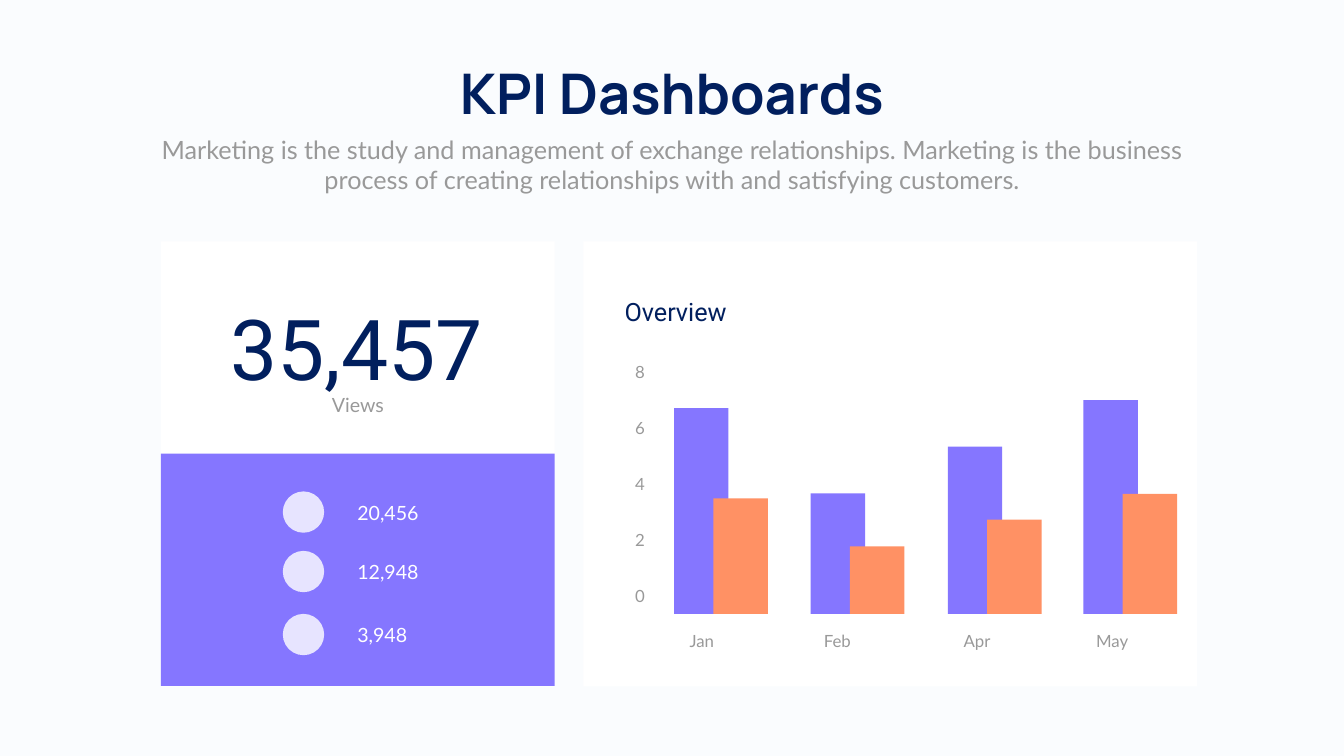
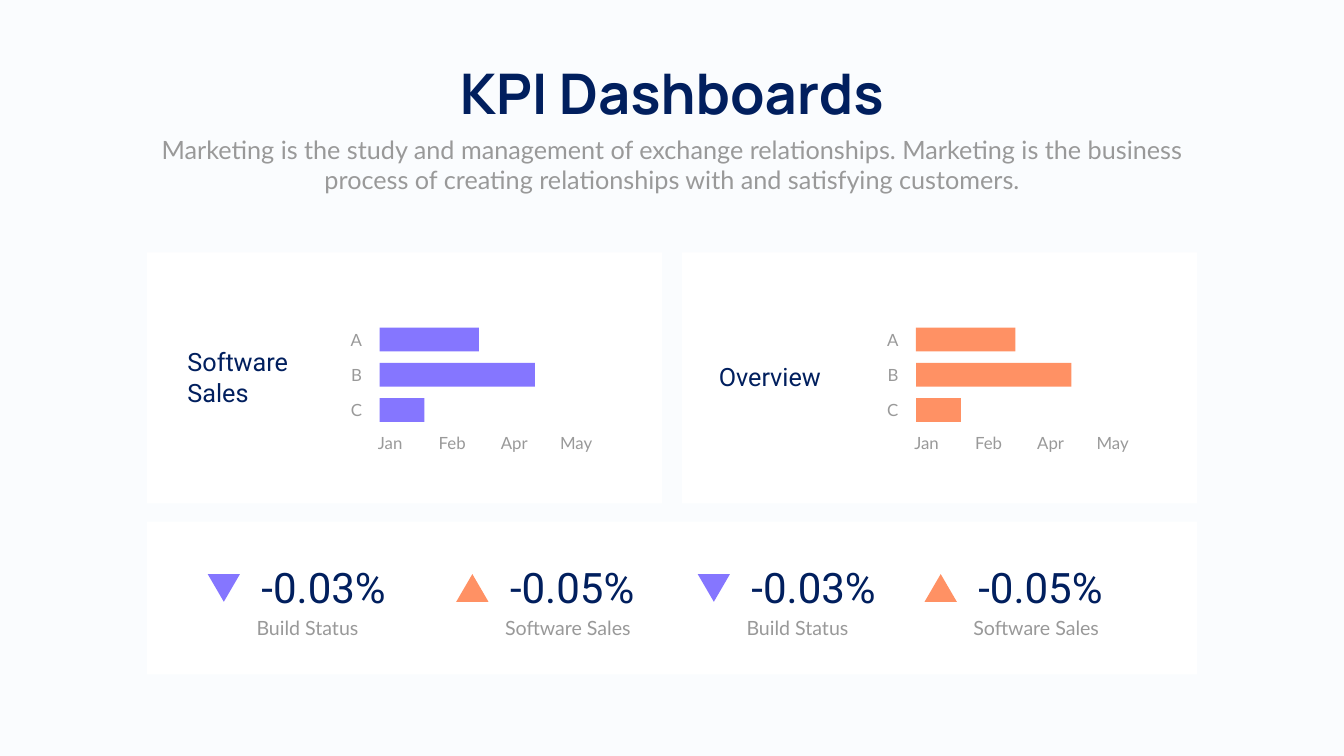
from pptx import Presentation
from pptx.dml.color import RGBColor
from pptx.enum.shapes import MSO_SHAPE as Preset
from pptx.enum.text import MSO_ANCHOR as Anchor, MSO_AUTO_SIZE as AutoSize, PP_ALIGN as Align
from pptx.util import Inches, Pt

COLORS = {
    "page": "FAFCFE",
    "card": "FFFFFF",
    "navy": "011F5E",
    "grey": "999999",
    "violet": "8576FF",
    "orange": "FF9164",
    "icon": "E7E4FF",
}
HEADING, BODY, FIGURE = "Manrope", "Lato", "Roboto"
TITLE = "KPI Dashboards"
SUBTITLE = ("Marketing is the study and management of exchange relationships. "
            "Marketing is the business process of creating relationships with "
            "and satisfying customers.")


class Dashboard:
    """Holds the shared style and the slide being filled."""

    def __init__(self):
        self.deck = Presentation()
        self.deck.slide_width = Inches(26.66)
        self.deck.slide_height = Inches(15)
        self.paint(self.deck.slide_master.background.fill, "page")
        self.page = None

    def paint(self, fill, color):
        fill.solid()
        fill.fore_color.rgb = RGBColor.from_string(COLORS[color])

    def set_text(self, box, text, size, font, color, align, wrap=True, bold=False):
        frame = box.text_frame
        frame.text = text
        frame.word_wrap = wrap
        frame.vertical_anchor = Anchor.TOP
        frame.auto_size = AutoSize.SHAPE_TO_FIT_TEXT
        for para in frame.paragraphs:
            para.alignment = align
            for span in para.runs:
                span.font.size = Pt(size)
                span.font.name = font
                span.font.bold = bold
                span.font.color.rgb = RGBColor.from_string(COLORS[color])

    def text(self, left, top, width, height, text, size=28, font=BODY,
             color="grey", align=Align.LEFT, wrap=True):
        box = self.page.shapes.add_textbox(
            Inches(left), Inches(top), Inches(width), Inches(height))
        self.set_text(box, text, size, font, color, align, wrap)

    def label(self, left, top, width, text, align=Align.CENTER):
        self.text(left, top, width, 0.4, text, 24, align=align)

    def heading(self, left, top, width, height, text):
        self.text(left, top, width, height, text, 36, FIGURE, "navy")

    def shape(self, left, top, width, height, color, preset=Preset.RECTANGLE):
        shape = self.page.shapes.add_shape(
            preset, Inches(left), Inches(top), Inches(width), Inches(height))
        shape.shadow.inherit = False
        self.paint(shape.fill, color)
        shape.line.fill.background()
        return shape

    def new_page(self):
        self.page = self.deck.slides.add_slide(self.deck.slide_layouts.get_by_name("Title Only"))
        title = self.page.shapes.title
        title.left, title.top = Inches(8.67), Inches(1.12)
        title.width, title.height = Inches(9.32), Inches(1.45)
        self.set_text(title, TITLE, 80, HEADING, "navy", Align.CENTER, wrap=False, bold=True)
        self.text(2.92, 2.61, 20.82, 1.31, SUBTITLE, 36, align=Align.CENTER)

    def column_pair(self, left, base, first, second):
        """Two overlapping columns that stand on the same base."""
        for shift, height, color in ((0, first, "violet"), (0.78, second, "orange")):
            self.shape(left + shift, base - height, 1.08, height, color)

    def bar_panel(self, left, color):
        """Three horizontal bars with their row and month labels."""
        for row, (name, length) in enumerate((("A", 1.97), ("B", 3.08), ("C", 0.89))):
            top = 6.5 + 0.7 * row
            self.label(left - 0.76, top - 0.01, 0.51, name, Align.RIGHT)
            self.shape(left, top, length, 0.47, color)
        for column, month in enumerate(("Jan", "Feb", "Apr", "May")):
            self.label(left - 0.33 + 1.23 * column, 8.53, 1.08, month)

    def change(self, left, value, caption, rising):
        """A trend arrow with its value and caption."""
        arrow = self.shape(left, 11.39, 0.64, 0.55,
                           "orange" if rising else "violet", Preset.ISOSCELES_TRIANGLE)
        arrow.rotation = 0 if rising else 180
        self.text(left + 0.87, 11.09, 2.86, 1.11, value, 60, FIGURE, "navy",
                  Align.CENTER, wrap=False)
        self.text(left + 0.87, 12.17, 3.32, 0.57, caption)


def build_views(board):
    board.new_page()

    # Cards
    board.shape(11.57, 4.79, 12.17, 8.83, "card")
    board.shape(3.19, 4.79, 7.81, 8.83, "card")
    board.shape(3.19, 9, 7.81, 4.61, "violet")

    # Total views and their channels
    board.text(4.15, 5.83, 5.85, 2.12, "35,457", 120, FIGURE, "navy", Align.CENTER)
    board.text(5.9, 7.75, 2.4, 0.57, "Views", align=Align.CENTER)
    for top, count in ((9.89, "20,456"), (11.07, "12,948"), (12.32, "3,948")):
        board.shape(5.61, top - 0.14, 0.82, 0.82, "icon", Preset.OVAL)
        board.text(6.99, top, 1.56, 0.57, count, color="card")

    # Overview columns
    board.heading(12.29, 5.82, 3.32, 0.71, "Overview")
    for step, value in enumerate(range(0, 10, 2)):
        board.label(12.29, 11.57 - 1.11 * step, 0.6, str(value), Align.RIGHT)
    months = (
        ("Jan", 12.73, 13.37, 4.08, 2.29),
        ("Feb", 15.42, 16.08, 2.39, 1.34),
        ("Apr", 18.19, 18.8, 3.32, 1.87),
        ("May", 20.87, 21.49, 4.24, 2.38),
    )
    for month, label_left, column_left, first, second in months:
        board.column_pair(column_left, 12.18, first, second)
        board.label(label_left, 12.46, 2.38, month)


def build_sales(board):
    board.new_page()

    # Cards
    board.shape(2.92, 10.35, 20.82, 3.03, "card")
    for left in (2.92, 13.53):
        board.shape(left, 5.01, 10.21, 4.98, "card")

    # Bar panels
    board.heading(3.62, 6.83, 2.46, 1.31, "Software\nSales")
    board.bar_panel(7.53, "violet")
    board.heading(14.16, 7.12, 2.46, 0.71, "Overview")
    board.bar_panel(18.17, "orange")

    # Changes
    for index, left in enumerate((4.12, 9.05, 13.84, 18.34)):
        if index % 2:
            board.change(left, "-0.05%", "Software Sales", rising=True)
        else:
            board.change(left, "-0.03%", "Build Status", rising=False)


def main():
    board = Dashboard()
    build_views(board)
    build_sales(board)
    board.deck.save("out.pptx")


if __name__ == "__main__":
    main()
